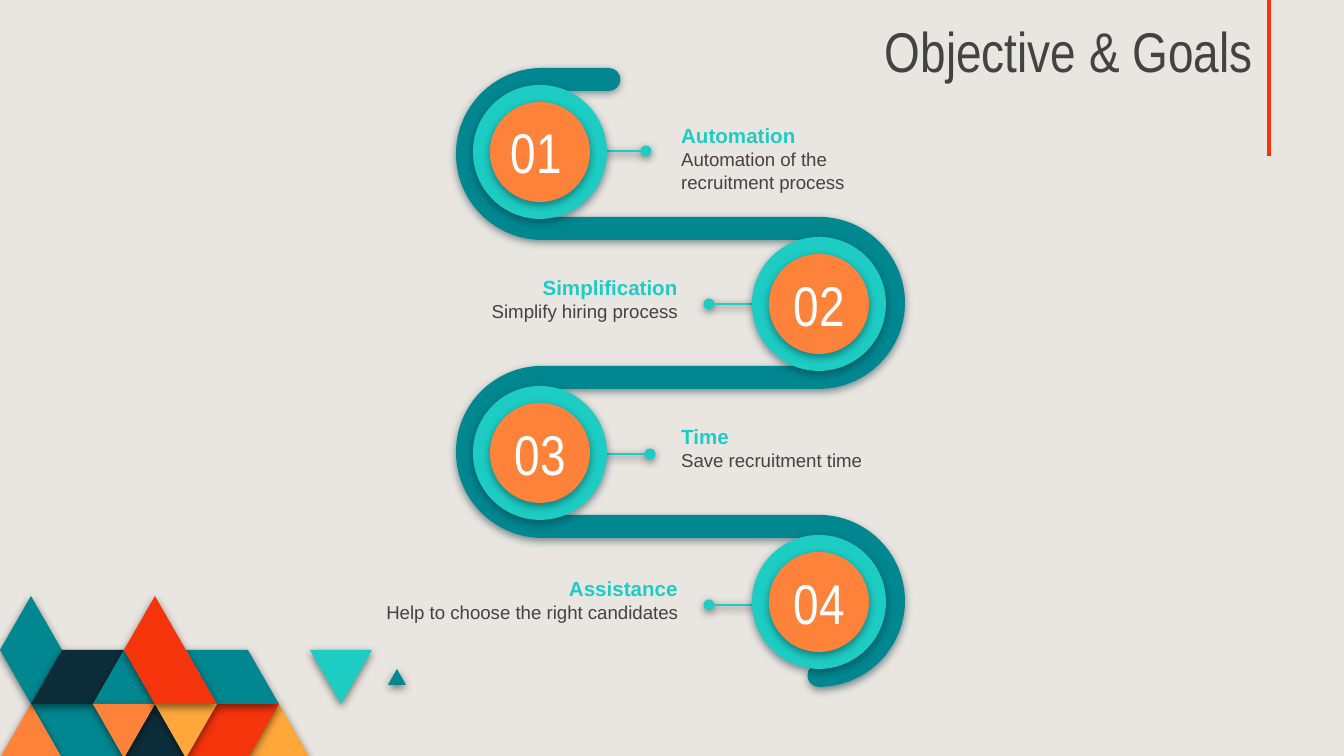
"""Build the Objective & Goals slide: a winding ribbon with four numbered goals."""
import copy

from lxml import etree
from pptx import Presentation
from pptx import util as u
from pptx.dml.color import RGBColor
from pptx.enum import shapes, text
from pptx.oxml import ns

PX = 914400 / 134.4
COLORS = {
    "paper": "E9E6E1", "ink": "434343", "white": "FFFFFF", "black": "000000",
    "teal": "018790", "aqua": "1DCDC3", "navy": "0C2E3A",
    "orange": "FF823B", "amber": "FFA73B", "red": "F5340B",
}
TILE_WIDTH, TILE_HEIGHT, TILE_TOP = 31, 54, 596
TILES = [
    ("amber", [(10, 3), (9, 2), (8, 3)]),
    ("red", [(9, 2), (7, 2), (6, 3), (8, 3)]),
    ("teal", [(4, 3), (3, 2), (1, 2), (2, 3)]),
    ("orange", [(2, 3), (1, 2), (0, 3)]),
    ("navy", [(6, 3), (5, 2), (4, 3)]),
    ("teal", [(9, 2), (8, 1), (6, 1), (7, 2)]),
    ("aqua", [(12, 1), (10, 1), (11, 2)]),
    ("teal", [(2, 1), (1, 0), (0, 1), (1, 2)]),
    ("navy", [(4, 1), (2, 1), (1, 2), (3, 2)]),
    ("teal", [(5, 2), (4, 1), (3, 2)]),
    ("orange", [(5, 2), (3, 2), (4, 3)]),
    ("amber", [(7, 2), (5, 2), (6, 3)]),
    ("red", [(7, 2), (6, 1), (5, 0), (4, 1), (5, 2)]),
]
RING, DISC, BOX_HEIGHT = 134, 100, 85
GOALS = [
    {"heading": "Automation", "body": "Automation of the recruitment process", "side": 1,
     "ring": (473, 85), "dot": (646, 151), "number": (493, 109), "label": (668, 110, 249)},
    {"heading": "Simplification", "body": "Simplify hiring process", "side": -1,
     "ring": (752, 237), "dot": (709, 304), "number": (776, 262), "label": (437, 262, 254)},
    {"heading": "Time", "body": "Save recruitment time", "side": 1,
     "ring": (473, 386), "dot": (650, 454), "number": (497, 411), "label": (668, 411, 292)},
    {"heading": "Assistance", "body": "Help to choose the right candidates", "side": -1,
     "ring": (752, 535), "dot": (709, 605), "number": (776, 560), "label": (360, 563, 331)},
]


def px(value):
    return u.Emu(round(value * PX))


def color(name):
    return RGBColor.from_string(COLORS[name])


def write(frame, content, size=10, font="Arial", ink="ink", bold=False,
          align=text.PP_ALIGN.LEFT, line_break=False):
    paragraph = frame.paragraphs[0]
    paragraph.alignment = align
    run = paragraph.add_run()
    run.text = content
    run.font.size = u.Pt(size)
    run.font.name = font
    run.font.bold = bold
    run.font.color.rgb = color(ink)
    if line_break:
        paragraph.add_line_break()
        paragraph._p[-1].append(copy.deepcopy(run._r.rPr))


def half_circle(center, radius, side, down=True):
    x, y = center
    reach = side * radius
    rise = radius if down else -radius
    bend = 0.55
    return [
        [(x + reach * bend, y - rise), (x + reach, y - rise * bend), (x + reach, y)],
        [(x + reach, y + rise * bend), (x + reach * bend, y + rise), (x, y + rise)],
    ]


def ribbon_outline(left=542, right=819, top=154, step=149, outer=86, inner=63):
    turns = [((right if i % 2 else left, top + step * i), 1 if i % 2 else -1)
             for i in range(4)]
    cap = (outer - inner) / 2
    segments = []
    for (x, y), side in turns:
        radius = outer if side < 0 else inner
        segments += [[(x, y - radius)]] + half_circle((x, y), radius, side)
    segments += half_circle((right, top + 3 * step + inner + cap), cap, -1)
    for (x, y), side in reversed(turns):
        radius = inner if side < 0 else outer
        segments += [[(x, y + radius)]] + half_circle((x, y), radius, side, down=False)
    end = (609, top - inner - cap)
    segments += [[(end[0], end[1] + cap)]] + half_circle(end, cap, 1, down=False)
    return [segment for i, segment in enumerate(segments)
            if i == 0 or segment[-1] != segments[i - 1][-1]]


class Deck:
    """Hold the style and the current slide."""

    def __init__(self, width, height):
        self.presentation = Presentation()
        self.presentation.slide_width = px(width)
        self.presentation.slide_height = px(height)
        self.slide = self.presentation.slides.add_slide(self.presentation.slide_layouts[5])
        fill = self.slide.background.fill
        fill.solid()
        fill.fore_color.rgb = color("paper")

    def effect(self, shape, shade=None):
        effects = etree.SubElement(shape._element.spPr, ns.qn("a:effectLst"))
        if shade:
            shadow = etree.SubElement(effects, ns.qn("a:outerShdw"), blurRad="57150",
                                      dist="19050", dir="5400000", algn="bl", rotWithShape="0")
            tint = etree.SubElement(shadow, ns.qn("a:srgbClr"), val=COLORS[shade])
            etree.SubElement(tint, ns.qn("a:alpha"), val="50000")

    def paint(self, shape, fill, shade):
        shape.fill.solid()
        shape.fill.fore_color.rgb = color(fill)
        shape.line.fill.background()
        self.effect(shape, shade)

    def outline(self, segments, fill, shade="black"):
        corners = [(px(x), px(y)) for x, y in (segment[-1] for segment in segments)]
        builder = self.slide.shapes.build_freeform(*corners[0], scale=1.0)
        builder.add_line_segments(corners[1:], close=True)
        shape = builder.convert_to_shape()
        lines = list(shape._element.spPr.iter(ns.qn("a:lnTo")))
        for line, segment in zip(lines, segments[1:]):
            if len(segment) == 3:
                line.tag = ns.qn("a:cubicBezTo")
                for position, (x, y) in enumerate(segment[:2]):
                    point = etree.Element(ns.qn("a:pt"), x=str(px(x) - shape.left),
                                          y=str(px(y) - shape.top))
                    line.insert(position, point)
        self.paint(shape, fill, shade)

    def polygon(self, points, fill):
        self.outline([[point] for point in points], fill)

    def circle(self, left, top, size, fill):
        shape = self.slide.shapes.add_shape(
            shapes.MSO_SHAPE.OVAL, px(left), px(top), px(size), px(size))
        self.paint(shape, fill, "navy")

    def line(self, start, end, ink, width, dot=False, shade=None):
        connector = self.slide.shapes.add_connector(
            shapes.MSO_CONNECTOR.STRAIGHT, *map(px, start + end))
        connector.line.color.rgb = color(ink)
        connector.line.width = u.Pt(width)
        if dot:
            etree.SubElement(connector.line._get_or_add_ln(), ns.qn("a:tailEnd"), type="oval")
        self.effect(connector, shade)

    def place(self, shape, left, top, width, anchor):
        shape.left, shape.top, shape.width, shape.height = map(
            px, (left, top, width, BOX_HEIGHT))
        frame = shape.text_frame
        frame.word_wrap = True
        frame.auto_size = text.MSO_AUTO_SIZE.NONE
        frame.vertical_anchor = anchor
        frame.margin_left = frame.margin_right = u.Inches(0.1)
        frame.margin_top = frame.margin_bottom = u.Inches(0.1)
        return frame

    def title(self, content, left, top, width):
        frame = self.place(self.slide.shapes.title, left, top, width, text.MSO_ANCHOR.BOTTOM)
        write(frame, content, size=30, font="Arial Narrow", align=text.PP_ALIGN.RIGHT)

    def box(self, left, top, width, anchor=text.MSO_ANCHOR.TOP):
        return self.place(self.slide.shapes.add_textbox(0, 0, 0, 0), left, top, width, anchor)


def main():
    deck = Deck(1344, 756)
    for fill, cells in TILES:
        deck.polygon([(column * TILE_WIDTH, TILE_TOP + row * TILE_HEIGHT)
                      for column, row in cells], fill)
    deck.polygon([(406, 685), (397, 669), (388, 685)], "teal")
    deck.line((1269, 0), (1269, 156), "red", 2.25)
    deck.title("Objective & Goals", 710, 12, 556)

    for goal in GOALS:
        x, y = goal["dot"]
        deck.line((x - 66 * goal["side"], y), (x, y), "aqua", 1.5, dot=True, shade="black")
    deck.outline(ribbon_outline(), "teal", "navy")

    for number, goal in enumerate(GOALS, 1):
        left, top = goal["ring"]
        inset = (RING - DISC) // 2
        deck.circle(left, top, RING, "aqua")
        deck.circle(left + inset, top + inset, DISC, "orange")
        frame = deck.box(*goal["number"], 87, text.MSO_ANCHOR.MIDDLE)
        write(frame, f"{number:02}", size=30, font="Arial Narrow", ink="white",
              align=text.PP_ALIGN.CENTER)
        align = text.PP_ALIGN.LEFT if goal["side"] > 0 else text.PP_ALIGN.RIGHT
        frame = deck.box(*goal["label"])
        write(frame, goal["heading"], size=11, ink="aqua", bold=True, align=align,
              line_break=True)
        write(frame, goal["body"], align=align)
    deck.presentation.save("out.pptx")


if __name__ == "__main__":
    main()
